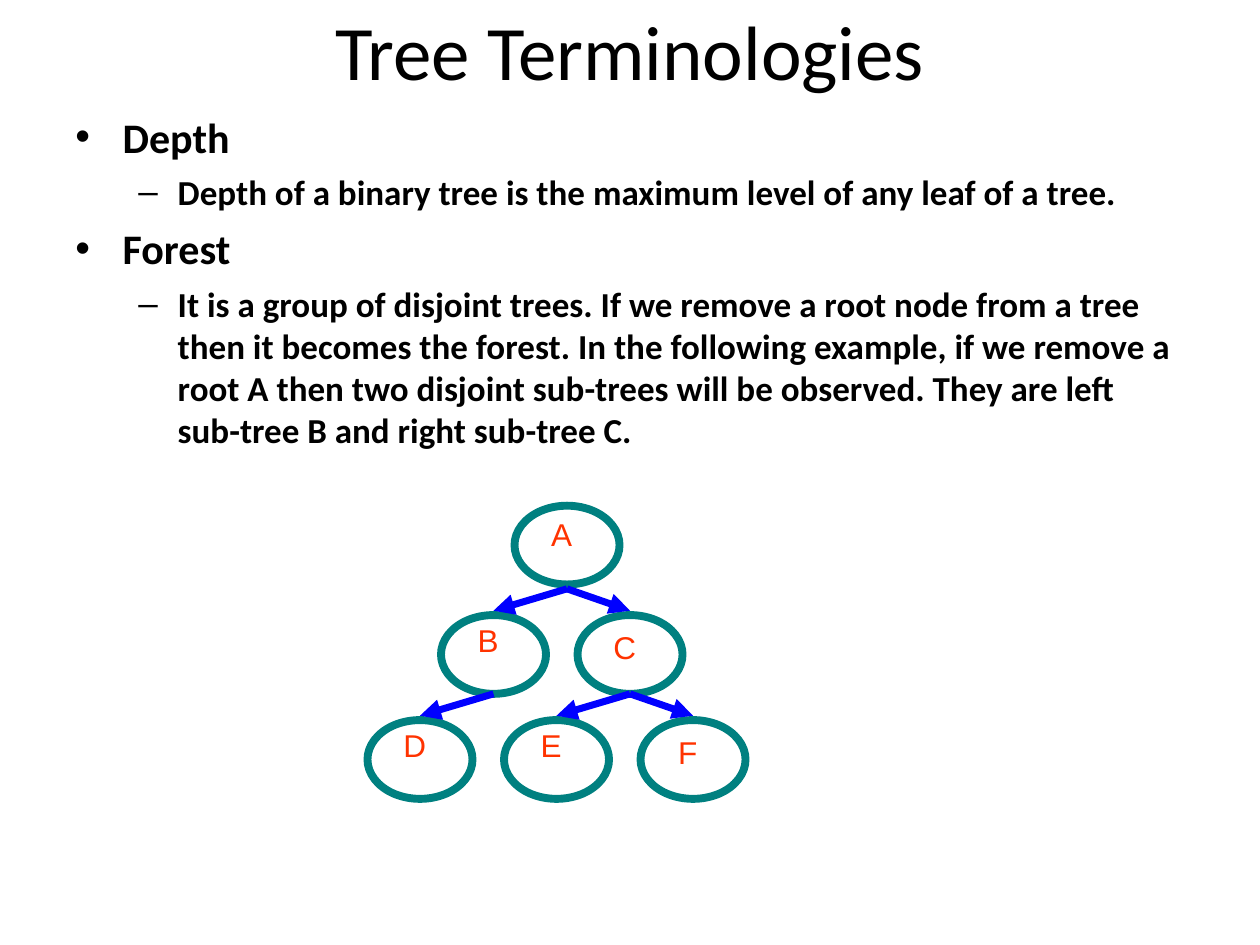
from lxml import etree
from pptx import Presentation
from pptx.dml.color import RGBColor
from pptx.enum import shapes, text
from pptx.oxml import ns
from pptx.util import Pt

COLORS = {"ink": "000000", "node": "008080", "arrow": "0000FF", "label": "FF3300"}

TOPICS = [
    ("Depth", "Depth of a binary tree is the maximum level of any leaf of a tree."),
    ("Forest", "It is a group of disjoint trees. If we remove a root node from a tree "
               "then it becomes the forest. In the following example, if we remove a "
               "root A then two disjoint sub-trees will be observed. They are left "
               "sub-tree B and right sub-tree C."),
]
LEVELS = [
    {"size": 24, "margin": 27, "hang": 27, "before": 6, "bullet": "•"},
    {"size": 20, "margin": 58.5, "hang": 22.5, "before": 5, "bullet": "–"},
]

NODE_WIDTH, NODE_HEIGHT = 60, 45
NODES = {
    "A": (84, 0), "B": (42, 62.5), "C": (120, 62.5),
    "D": (0, 122.5), "E": (78, 122.5), "F": (156, 122.5),
}
LABEL_DROPS = {"A": 2, "C": 4, "F": 4}
EDGES = ["AC", "AB", "BD", "CF", "CE"]


def color(name):
    return RGBColor.from_string(COLORS[name])


def add_frame(page, left, top, width, height):
    frame = page.shapes.add_textbox(Pt(left), Pt(top), Pt(width), Pt(height)).text_frame
    frame.word_wrap = True
    return frame


def add_span(para, words, size, font, ink, bold=False):
    span = para.add_run()
    span.text = words
    span.font.size = Pt(size)
    span.font.name = font
    span.font.bold = bold
    span.font.color.rgb = color(ink)


def set_bullet(para, level):
    props = para._p.get_or_add_pPr()
    props.set("marL", str(Pt(level["margin"])))
    props.set("indent", str(-Pt(level["hang"])))
    etree.SubElement(props, ns.qn("a:buFont")).set("typeface", "Arial")
    etree.SubElement(props, ns.qn("a:buChar")).set("char", level["bullet"])


def add_title(page, left, top, width, height):
    frame = add_frame(page, left, top, width, height)
    frame.vertical_anchor = text.MSO_ANCHOR.MIDDLE
    para = frame.paragraphs[0]
    para.alignment = text.PP_ALIGN.CENTER
    add_span(para, "Tree Terminologies", 44, "Calibri", "ink")


def add_topics(page, left, top, width, height):
    frame = add_frame(page, left, top, width, height)
    lines = [(depth, words) for topic in TOPICS for depth, words in enumerate(topic)]
    for index, (depth, words) in enumerate(lines):
        para = frame.add_paragraph() if index else frame.paragraphs[0]
        level = LEVELS[depth]
        para.level = depth
        para.space_before = Pt(level["before"])
        set_bullet(para, level)
        add_span(para, words, level["size"], "Calibri", "ink", bold=True)


def add_node(page, left, top):
    node = page.shapes.add_shape(
        shapes.MSO_SHAPE.OVAL, Pt(left), Pt(top), Pt(NODE_WIDTH), Pt(NODE_HEIGHT))
    node.shadow.inherit = False
    node.fill.background()
    node.line.color.rgb = color("node")
    node.line.width = Pt(4.5)


def add_arrow(page, start_x, start_y, end_x, end_y):
    arrow = page.shapes.add_connector(
        shapes.MSO_CONNECTOR.STRAIGHT, Pt(start_x), Pt(start_y), Pt(end_x), Pt(end_y))
    arrow.line.color.rgb = color("arrow")
    arrow.line.width = Pt(4)
    etree.SubElement(arrow.line._get_or_add_ln(), ns.qn("a:tailEnd")).set("type", "triangle")
    etree.SubElement(arrow._element.spPr, ns.qn("a:effectLst"))


def add_label(page, name, center, top):
    width = 42 if name == "A" else 30
    frame = add_frame(page, center - width / 2, top, width, 29)
    para = frame.paragraphs[0]
    para.alignment = text.PP_ALIGN.CENTER
    add_span(para, name, 18, "Arial", "label")


def add_tree(page, left, top):
    for x, y in NODES.values():
        add_node(page, left + x, top + y)
    middle = left + NODE_WIDTH / 2
    for parent, child in EDGES:
        child_x, child_y = NODES[child]
        add_arrow(page, middle + NODES[parent][0], top + child_y - 15,
                  middle + child_x, top + child_y - 2.5)
    for name, (x, y) in NODES.items():
        add_label(page, name, middle + x - 3, top + y + LABEL_DROPS.get(name, 0))


def main():
    deck = Presentation()
    deck.slide_width, deck.slide_height = Pt(720), Pt(540)
    page = deck.slides.add_slide(deck.slide_layouts[6])
    add_title(page, 36, 6, 648, 45)
    add_topics(page, 36, 60, 648, 422.5)
    add_tree(page, 210, 289)
    deck.save("out.pptx")


if __name__ == "__main__":
    main()
